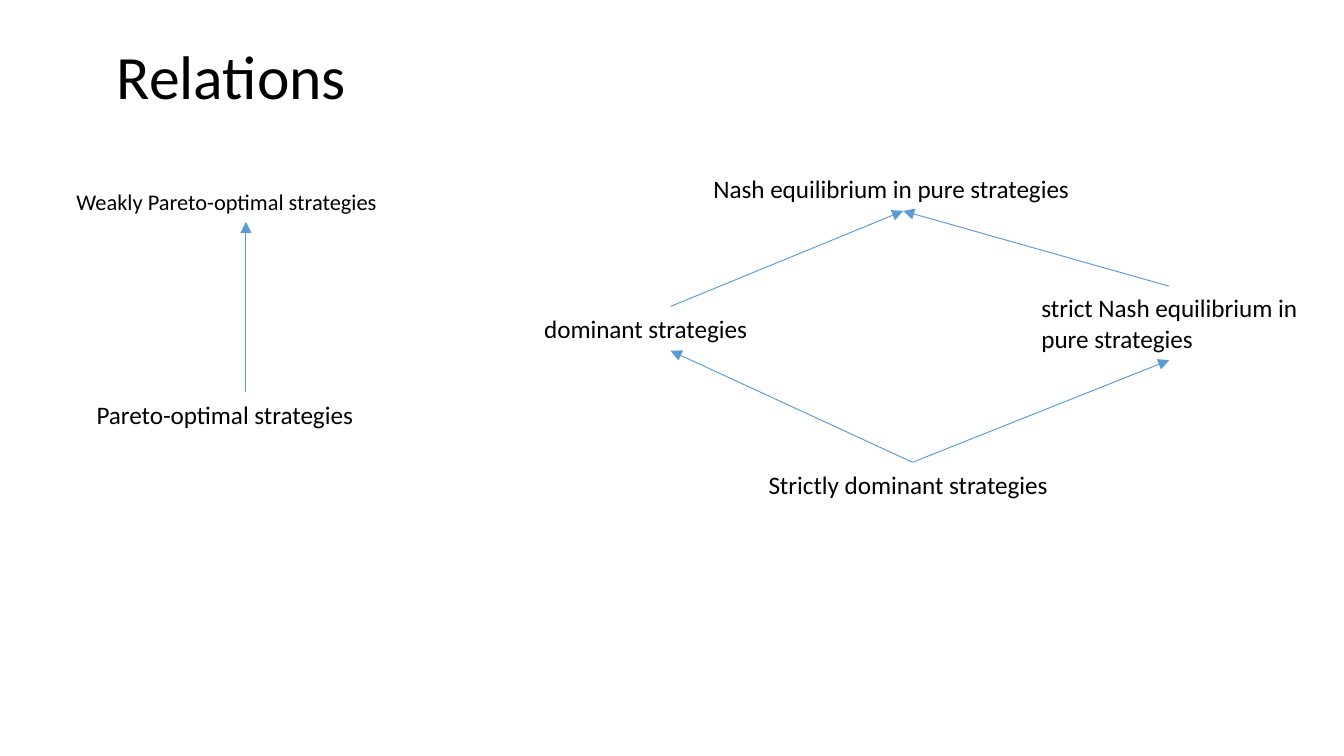
from dataclasses import dataclass

from lxml import etree
from pptx import Presentation
from pptx.dml.color import RGBColor
from pptx.enum import shapes, text
from pptx.oxml import ns
from pptx.slide import Slide
from pptx.util import Inches, Pt

COLORS = {"text": "000000", "arrow": "5B9BD5", "background": "FFFFFF"}
FONT = "Calibri"


@dataclass(frozen=True)
class Concept:
    label: str
    left: float
    top: float
    width: float
    height: float = 0.33
    size: float = 13.5


@dataclass(frozen=True)
class Arrow:
    start: tuple[float, float]
    end: tuple[float, float]


CONCEPTS = [
    Concept("Weakly Pareto-optimal strategies", 0.47, 1.35, 2.72, 0.3, 12),
    Concept("Pareto-optimal strategies", 0.62, 2.92, 2.43),
    Concept("Nash equilibrium in pure strategies", 5.21, 1.24, 3.02),
    Concept("dominant strategies", 3.95, 2.28, 2.08),
    Concept("strict Nash equilibrium in pure strategies", 7.65, 2.13, 2.11, 0.56),
    Concept("Strictly dominant strategies", 5.62, 3.44, 2.33),
]

NASH = (6.72, 1.57)
STRICTLY_DOMINANT = (6.79, 3.44)
ARROWS = [
    Arrow((1.83, 2.92), (1.83, 1.65)),
    Arrow(STRICTLY_DOMINANT, (4.99, 2.61)),
    Arrow(STRICTLY_DOMINANT, (8.7, 2.68)),
    Arrow((4.99, 2.28), NASH),
    Arrow((8.7, 2.13), NASH),
]


def color(name: str) -> RGBColor:
    return RGBColor.from_string(COLORS[name])


def set_text(sp, label: str, size: float) -> None:
    tf = sp.text_frame
    tf.word_wrap = True
    tf.text = label
    p = tf.paragraphs[0]
    p.alignment = text.PP_ALIGN.LEFT
    p.font.name = FONT
    p.font.size = Pt(size)
    p.font.color.rgb = color("text")


def add_title(slide: Slide, label: str) -> None:
    sp = slide.shapes.title
    sp.left, sp.top = Inches(0.77), Inches(0.28)
    sp.width, sp.height = Inches(2.73), Inches(0.63)
    set_text(sp, label, 33)
    sp.text_frame.auto_size = text.MSO_AUTO_SIZE.NONE
    sp.text_frame.vertical_anchor = text.MSO_ANCHOR.MIDDLE
    sp.text_frame.paragraphs[0].line_spacing = 0.9


def add_concept(slide: Slide, concept: Concept) -> None:
    sp = slide.shapes.add_textbox(Inches(concept.left), Inches(concept.top),
                                  Inches(concept.width), Inches(concept.height))
    set_text(sp, concept.label, concept.size)
    sp.text_frame.auto_size = text.MSO_AUTO_SIZE.SHAPE_TO_FIT_TEXT


def add_arrow(slide: Slide, arrow: Arrow) -> None:
    ends = [Inches(v) for v in (*arrow.start, *arrow.end)]
    line = slide.shapes.add_connector(shapes.MSO_CONNECTOR.STRAIGHT, *ends)
    line.line.color.rgb = color("arrow")
    line.line.width = Pt(0.5)
    # Arrowhead at the end, and no theme shadow
    sp_pr = line._element.spPr
    etree.SubElement(sp_pr.find(ns.qn("a:ln")), ns.qn("a:tailEnd"), type="triangle")
    etree.SubElement(sp_pr, ns.qn("a:effectLst"))


def main() -> None:
    # Widescreen slide, 16:9
    prs = Presentation()
    prs.slide_width = Inches(10)
    prs.slide_height = prs.slide_width * 9 // 16
    slide = prs.slides.add_slide(prs.slide_layouts.get_by_name("Title Only"))
    slide.background.fill.solid()
    slide.background.fill.fore_color.rgb = color("background")

    # Title
    add_title(slide, "Relations")

    # Concepts and the implications between them
    for concept in CONCEPTS:
        add_concept(slide, concept)
    for arrow in ARROWS:
        add_arrow(slide, arrow)

    prs.save("out.pptx")


if __name__ == "__main__":
    main()
